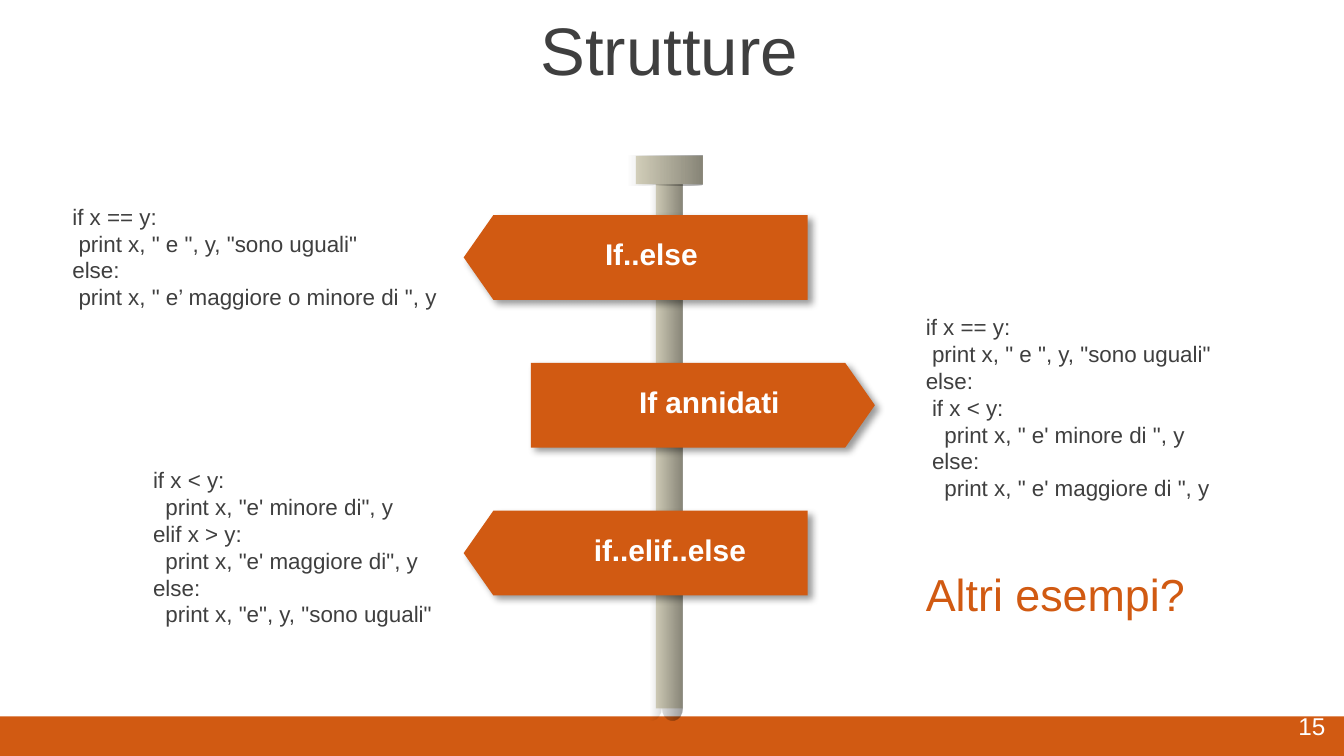
import math
import lxml.etree
import pptx
import pptx.dml.color
import pptx.enum.dml
import pptx.enum.shapes
import pptx.enum.text
import pptx.oxml.ns
import pptx.util

Pt = pptx.util.Pt
Shape = pptx.enum.shapes.MSO_SHAPE
Align = pptx.enum.text.PP_ALIGN
Anchor = pptx.enum.text.MSO_ANCHOR
qn = pptx.oxml.ns.qn

THEME = {
    "font": "Arial", "accent": "D15A12", "ink": "3F3F3F", "white": "FFFFFF",
    "post": "DDD9C3", "shade": "000000",
    "title": 36, "question": 24, "sign": 16, "number": 13, "code": 12,
}

TITLE = "Strutture"
QUESTION = "Altri esempi?"
PAGE_NUMBER = "15"

SIGNS = [
    {"label": "If..else", "points": "left", "label_box": (284.4, 96.5)},
    {"label": "If annidati", "points": "right", "label_box": (300.2, 124.6)},
    {"label": "if..elif..else", "points": "left", "label_box": (284.4, 122.4)},
]
SIGN_LEFT = {"left": 248.4, "right": 284.4}
SIGN_TOP, SIGN_STEP, SIGN_WIDTH, SIGN_HEIGHT = 115.2, 79.2, 184.3, 45.4

EXAMPLES = [
    ((31.7, 105.1, 218.2, 65.5), [
        (0, 'if x == y:'),
        (1, 'print x, " e ", y, "sono uguali"'),
        (0, 'else:'),
        (1, 'print x, " e’ maggiore o minore di ", y'),
    ]),
    ((74.9, 246.2, 200.2, 108.7), [
        (0, 'if x < y:'),
        (2, 'print x, "e\' minore di", y'),
        (0, 'elif x > y:'),
        (2, 'print x, "e\' maggiore di", y'),
        (0, 'else:'),
        (2, 'print x, "e", y, "sono uguali"'),
    ]),
    ((488.9, 164.2, 174.2, 108.7), [
        (0, 'if x == y:'),
        (1, 'print x, " e ", y, "sono uguali"'),
        (0, 'else:'),
        (1, 'if x < y:'),
        (3, 'print x, " e\' minore di ", y'),
        (1, 'else:'),
        (3, 'print x, " e\' maggiore di ", y'),
    ]),
]
INDENT = 3.33

POST_PARTS = [
    {"block": (351.4, 95.8, 14.4, 283.7), "shade": (331.9, 95.8, 33.9, 283), "bulge": 7},
    {"block": (340.6, 83.5, 36, 15.1), "shade": (299.5, 83.5, 77, 15.1), "bulge": 0.7},
]


def colour(name):
    return pptx.dml.color.RGBColor.from_string(THEME[name])


def add_block(page, kind, place, fill):
    block = page.shapes.add_shape(kind, *map(Pt, place))
    block.shadow.inherit = False
    block.fill.solid()
    block.fill.fore_color.rgb = colour(fill)
    block.line.fill.background()
    return block


def add_shade(page, place, bulge):
    left, top, width, height = place
    radius = width / 6
    scallops = [
        (left + radius * (5 - 2 * lobe + math.cos(math.radians(angle))),
         top + height + bulge * math.sin(math.radians(angle)))
        for lobe in range(3) for angle in range(0, 181, 20)
    ]
    builder = page.shapes.build_freeform(Pt(left), Pt(top))
    corners = [(left + width, top)] + scallops
    builder.add_line_segments([(Pt(x), Pt(y)) for x, y in corners], close=True)
    shade = builder.convert_to_shape()
    shade.shadow.inherit = False
    shade.line.fill.background()
    shade.fill.gradient()
    shade.fill.gradient_angle = 0
    for stop, position in zip(shade.fill.gradient_stops, (0.48, 1)):
        stop.position = position
        stop.color.rgb = colour("shade")
    gradient = shade._element.spPr.find(qn("a:gradFill"))
    for tint, opacity in zip(gradient.iter(qn("a:srgbClr")), (0, 39)):
        add_opacity(tint, opacity)


def add_opacity(tint, percent):
    lxml.etree.SubElement(tint, qn("a:alpha"), val=str(percent * 1000))


def add_drop_shadow(block):
    effects = block._element.spPr.find(qn("a:effectLst"))
    shadow = lxml.etree.SubElement(
        effects, qn("a:outerShdw"), blurRad=str(Pt(4)), dist=str(Pt(3)),
        dir=str(45 * 60000), algn="tl", rotWithShape="0")
    tint = lxml.etree.SubElement(shadow, qn("a:srgbClr"), val=THEME["shade"])
    add_opacity(tint, 40)


def format_text(frame, size, tint, align=Align.LEFT, bold=False):
    for para in frame.paragraphs:
        para.alignment = align
        for span in para.runs:
            span.font.name = THEME["font"]
            span.font.size = Pt(THEME[size])
            span.font.bold = bold
            span.font.color.rgb = colour(tint)


def add_text(page, place, text, size, tint, **style):
    box = page.shapes.add_textbox(*map(Pt, place))
    box.text_frame.word_wrap = True
    box.text_frame.text = text
    format_text(box.text_frame, size, tint, **style)
    return box


def add_title(page):
    title = page.shapes.title
    title.left, title.top, title.width, title.height = map(Pt, (-1.4, 3.6, 720, 45.4))
    title.text_frame.text = TITLE
    title.text_frame.vertical_anchor = Anchor.MIDDLE
    format_text(title.text_frame, "title", "ink", align=Align.CENTER)


def add_sign(page, index, sign):
    top = SIGN_TOP + index * SIGN_STEP
    place = (SIGN_LEFT[sign["points"]], top, SIGN_WIDTH, SIGN_HEIGHT)
    board = add_block(page, Shape.PENTAGON, place, "accent")
    board.adjustments[0] = 0.35
    board.rotation = 180 if sign["points"] == "left" else 0
    add_drop_shadow(board)
    left, width = sign["label_box"]
    add_text(page, (left, top + 7.6, width, 26.6), sign["label"], "sign", "white",
             align=Align.RIGHT, bold=True)


def add_example(page, place, lines):
    text = "\n".join(line for _, line in lines)
    box = add_text(page, place, text, "code", "ink")
    for para, (depth, _) in zip(box.text_frame.paragraphs, lines):
        para._p.get_or_add_pPr().set("marL", str(Pt(depth * INDENT)))


def main():
    deck = pptx.Presentation()
    deck.slide_width, deck.slide_height = Pt(720), Pt(405)
    page = deck.slides.add_slide(deck.slide_layouts[5])
    add_block(page, Shape.RECTANGLE, (0, 383.8, 720, 21.2), "accent")
    add_title(page)
    for part in POST_PARTS:
        add_block(page, Shape.RECTANGLE, part["block"], "post")
        add_shade(page, part["shade"], part["bulge"])
    for index, sign in enumerate(SIGNS):
        add_sign(page, index, sign)
    for place, lines in EXAMPLES:
        add_example(page, place, lines)
    add_text(page, (488.9, 300.2, 154.8, 36), QUESTION, "question", "accent")
    number = add_text(page, (673.9, 373.7, 43.2, 31), PAGE_NUMBER, "number", "white",
                      align=Align.RIGHT)
    number.text_frame.margin_top = number.text_frame.margin_bottom = Pt(7.2)
    deck.save("out.pptx")


if __name__ == "__main__":
    main()
